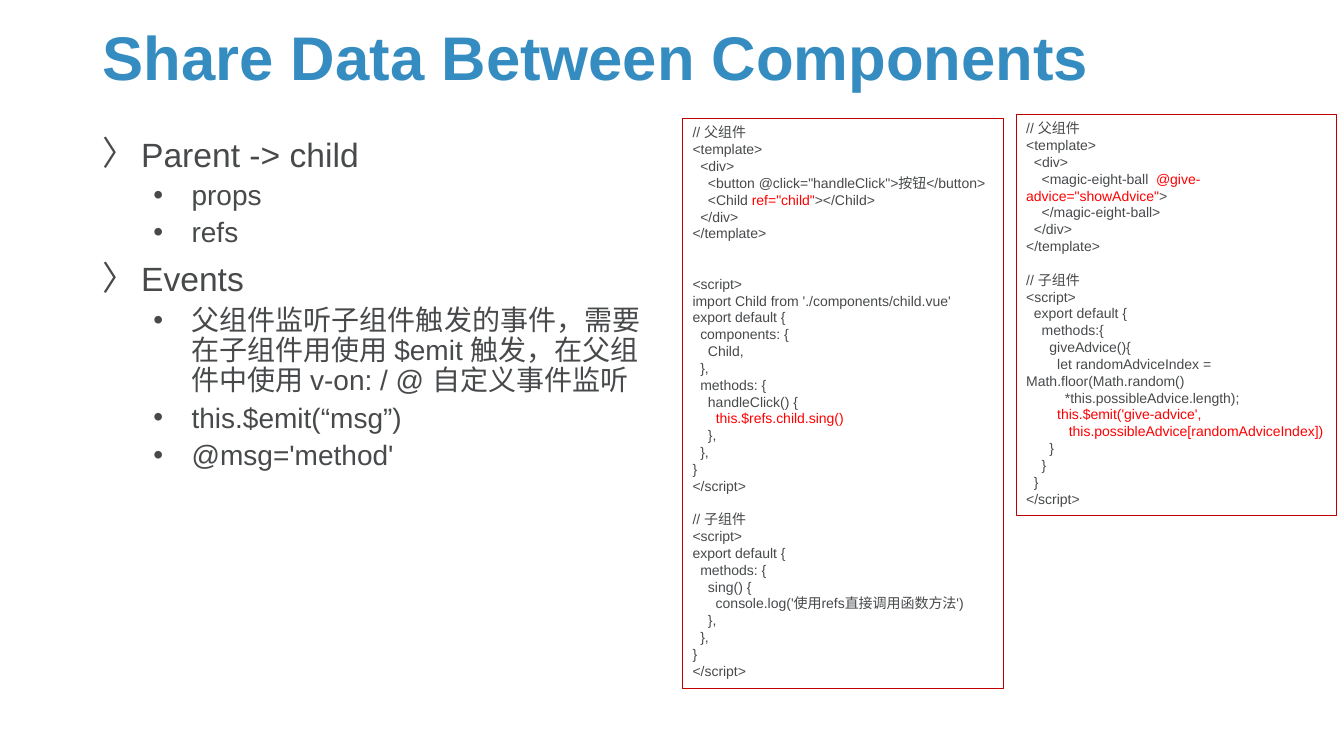
from lxml import etree
from pptx import Presentation
from pptx.dml.color import RGBColor
from pptx.enum.shapes import MSO_SHAPE
from pptx.enum.text import MSO_ANCHOR, MSO_AUTO_SIZE, PP_ALIGN
from pptx.oxml.ns import qn
from pptx.util import Inches, Pt

RECT = MSO_SHAPE.RECTANGLE
LEFT = PP_ALIGN.LEFT
TOP, MIDDLE = MSO_ANCHOR.TOP, MSO_ANCHOR.MIDDLE
NO_AUTOFIT = MSO_AUTO_SIZE.NONE

BLUE = RGBColor(0x35, 0x8C, 0xC1)
GRAY = RGBColor(0x47, 0x49, 0x4B)
RED = RGBColor(0xFF, 0x00, 0x00)
BORDER = RGBColor(0xC0, 0x00, 0x00)
FONT = "Arial"
CODE_LINE = 12  # points

# (level, text)
POINTS = [
    (0, "Parent -> child"),
    (1, "props"),
    (1, "refs"),
    (0, "Events"),
    (1, "父组件监听子组件触发的事件，需要在子组件用使用 $emit 触发，"
        "在父组件中使用 v-on: / @ 自定义事件监听"),
    (1, "this.$emit(“msg”)"),
    (1, "@msg='method'"),
]
# level: (bullet, size, indent, space before)
LEVELS = {0: ("〉", 24, 0.38, 10), 1: ("•", 20, 0.88, 5)}

# Text between bars is highlighted; an empty line becomes spacing.
REFS_CODE = """\
// 父组件
<template>
  <div>
    <button @click="handleClick">按钮</button>
    <Child |ref="child"|></Child>
  </div>
</template>


<script>
import Child from './components/child.vue'
export default {
  components: {
    Child,
  },
  methods: {
    handleClick() {
      |this.$refs.child.sing()|
    },
  },
}
</script>

// 子组件
<script>
export default {
  methods: {
    sing() {
      console.log('使用refs直接调用函数方法')
    },
  },
}
</script>"""

EMIT_CODE = """\
// 父组件
<template>
  <div>
    <magic-eight-ball | @give-advice="showAdvice"|>
    </magic-eight-ball>
  </div>
</template>

// 子组件
<script>
  export default {
    methods:{
      giveAdvice(){
        let randomAdviceIndex = Math.floor(Math.random()
          *this.possibleAdvice.length);
       | this.$emit('give-advice',|
|           this.possibleAdvice[randomAdviceIndex])|
      }
    }
  }
</script>"""


def add_text(p, text, size, color=GRAY, bold=False):
    r = p.add_run()
    r.text = text
    r.font.name = FONT
    r.font.size = Pt(size)
    r.font.bold = bold
    r.font.color.rgb = color


def place(s, box):
    s.left, s.top, s.width, s.height = (Inches(v) for v in box)


def next_paragraph(tf, first):
    p = tf.paragraphs[0] if first else tf.add_paragraph()
    p.alignment = LEFT
    return p


def prepare_frame(s, anchor):
    tf = s.text_frame
    tf.word_wrap = True
    tf.auto_size = NO_AUTOFIT
    tf.vertical_anchor = anchor
    return tf


def set_bullet(p, char, indent):
    pPr = p._p.get_or_add_pPr()
    pPr.set("marL", str(Inches(indent)))
    pPr.set("indent", str(-Inches(0.38)))
    etree.SubElement(pPr, qn("a:buChar")).set("char", char)


def fill_title(s, box, text):
    place(s, box)
    p = next_paragraph(prepare_frame(s, MIDDLE), True)
    p.line_spacing = 0.9
    add_text(p, text, 44, BLUE, bold=True)


def fill_points(s, box, points):
    place(s, box)
    tf = prepare_frame(s, TOP)
    for i, (level, text) in enumerate(points):
        char, size, indent, gap = LEVELS[level]
        p = next_paragraph(tf, i == 0)
        p.level = level
        set_bullet(p, char, indent)
        p.line_spacing = 0.9
        p.space_before = Pt(gap if i else 0)
        add_text(p, text, size)


def add_code(slide, box, code):
    s = slide.shapes.add_shape(RECT, *(Inches(v) for v in box))
    s.shadow.inherit = False
    s.fill.background()
    s.line.color.rgb = BORDER
    s.line.width = Pt(0.75)
    tf = prepare_frame(s, TOP)
    blanks = 0
    for i, line in enumerate(code.split("\n")):
        if not line:
            blanks += 1
            continue
        p = next_paragraph(tf, i == 0)
        p.space_before = Pt(blanks * CODE_LINE)
        blanks = 0
        for k, part in enumerate(line.split("|")):
            if part:
                add_text(p, part, 10, RED if k % 2 else GRAY)


def main():
    prs = Presentation()
    prs.slide_width, prs.slide_height = Inches(13.33), Inches(7.5)
    slide = prs.slides.add_slide(prs.slide_layouts[1])
    title, body = slide.placeholders
    fill_title(title, (0.92, 0.2, 11.5, 0.8), "Share Data Between Components")
    fill_points(body, (0.92, 1.32, 5.64, 4.97), POINTS)
    add_code(slide, (6.77, 1.18, 3.18, 5.65), REFS_CODE)
    add_code(slide, (10.08, 1.14, 3.18, 3.97), EMIT_CODE)
    prs.save("out.pptx")


if __name__ == "__main__":
    main()
